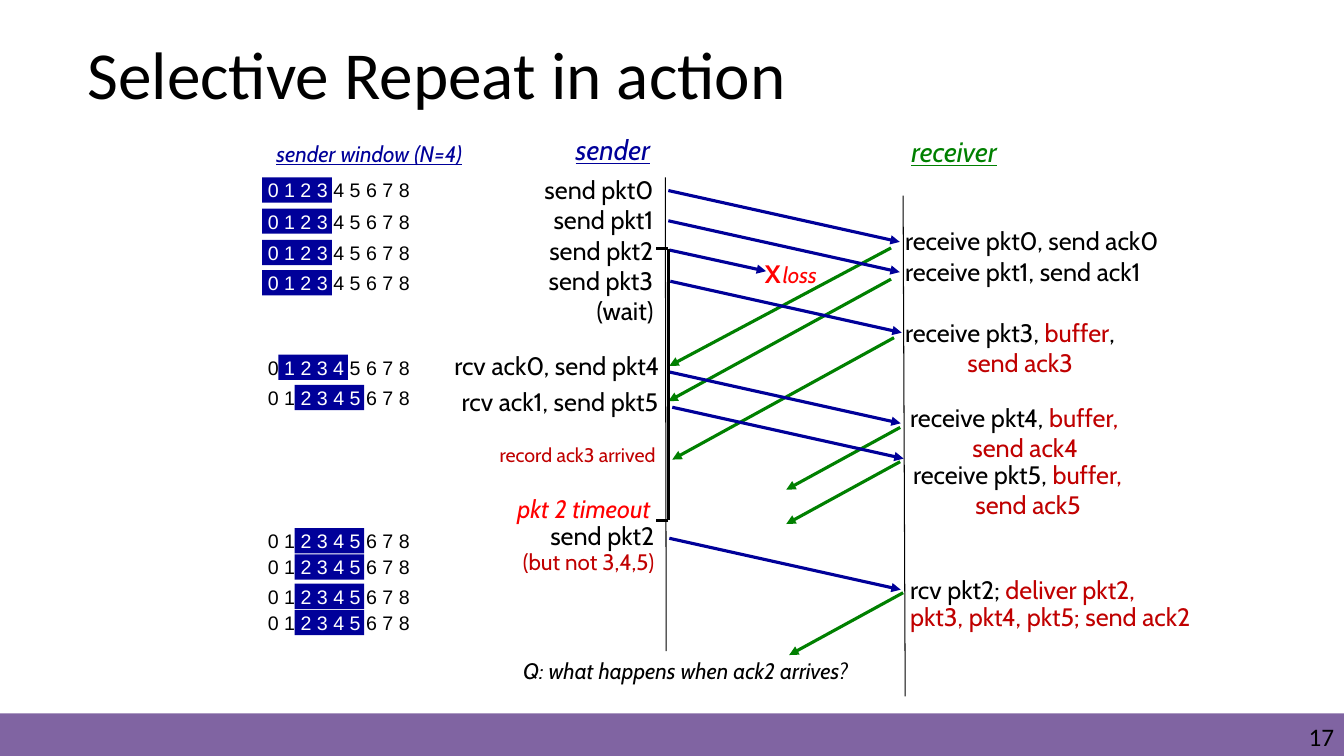
from lxml import etree
from pptx import Presentation
from pptx.dml.color import RGBColor
from pptx.enum.shapes import MSO_CONNECTOR, MSO_SHAPE
from pptx.enum.text import PP_ALIGN
from pptx.oxml.ns import qn
from pptx.util import Pt

LEFT, CENTER, RIGHT = PP_ALIGN.LEFT, PP_ALIGN.CENTER, PP_ALIGN.RIGHT
STRAIGHT, RECTANGLE = MSO_CONNECTOR.STRAIGHT, MSO_SHAPE.RECTANGLE

BLACK, WHITE, PURPLE = "000000", "FFFFFF", "8064A2"
BLUE, GREEN, RED, DARK_RED = "000099", "008000", "FF0000", "C00000"

# Each label: (left, top, width, height), alignment, paragraphs, style.
# A paragraph is a list of (text, colour) spans.
LABELS = [
    ((62.5, 23, 874, 70.5), LEFT, [[("Selective Repeat in action", BLACK)]],
     dict(size=48, face="Calibri", inset=0)),
    ((732, 515, 221, 21.6), RIGHT, [[("17", BLACK)]],
     dict(face="Calibri", inset=0)),
    ((179, 96.5, 169.5, 26.5), CENTER, [[("sender window (N=4)", BLUE)]],
     dict(size=16, italic=True, underline=True)),
    ((401, 91.4, 73.5, 31), CENTER, [[("sender", BLUE)]],
     dict(size=20, italic=True, underline=True)),
    ((639.4, 92.9, 84.2, 31), CENTER, [[("receiver", GREEN)]],
     dict(size=20, italic=True, underline=True)),
    ((365, 121, 108.8, 115.2), RIGHT,
     [[(line, BLACK)] for line in
      ("send pkt0", "send pkt1", "send pkt2", "send pkt3", "(wait)")], {}),
    ((306.7, 247, 171.4, 28.8), RIGHT, [[("rcv ack0, send pkt4", BLACK)]], {}),
    ((303.8, 272.2, 173.5, 28.8), RIGHT, [[("rcv ack1, send pkt5", BLACK)]], {}),
    ((345.6, 312.5, 134, 23.8), CENTER, [[("record ack3 arrived", DARK_RED)]],
     dict(size=14)),
    ((350.6, 354.2, 121, 23.8), RIGHT, [[("pkt 2 timeout", RED)]],
     dict(italic=True, spacing=0.75)),
    ((354.2, 370.8, 120.3, 24), RIGHT, [[("send pkt2", BLACK)]],
     dict(spacing=0.9)),
    ((354.2, 390, 120.3, 24), RIGHT, [[("(but not 3,4,5)", DARK_RED)]],
     dict(size=16, spacing=0.9)),
    ((535.9, 180.7, 32, 28.8), CENTER, [[("X", RED)]], dict(bold=True)),
    ((546.3, 182.9, 50, 26.6), CENTER, [[("loss", RED)]],
     dict(size=16, italic=True)),
    ((639.4, 157.7, 202.3, 50), LEFT,
     [[("receive pkt0, send ack0", BLACK)], [("receive pkt1, send ack1", BLACK)]],
     {}),
    ((639.4, 222.8, 202.3, 50), LEFT,
     [[("receive pkt3, ", BLACK), ("buffer", DARK_RED), (",", BLACK)],
      [("send ack3", DARK_RED)]], dict(indent=44.5)),
    ((643, 283.7, 181.4, 50.4), LEFT,
     [[("receive pkt4, ", BLACK), ("buffer,", DARK_RED)],
      [("send ack4", DARK_RED)]], dict(indent=44.5)),
    ((645.1, 324.7, 181.4, 50.4), LEFT,
     [[("receive pkt5, ", BLACK), ("buffer,", DARK_RED)],
      [("send ack5", DARK_RED)]], dict(indent=44.5)),
    ((643, 409, 233.3, 46), LEFT,
     [[("rcv pkt2; ", BLACK), ("deliver pkt2,", DARK_RED)],
      [("pkt3, pkt4, pkt5; send ack2", DARK_RED)]], dict(spacing=0.9)),
    ((352, 465.8, 275.8, 26.6), CENTER,
     [[("Q: what happens when ack2 arrives?", BLACK)]],
     dict(size=16, italic=True)),
]

# Sender window rows: top of the highlight, first sequence number in the window
WINDOWS = [(126.7, 0), (149, 0), (171.4, 0), (193, 0), (253.4, 1), (275, 2),
           (377.3, 2), (396, 2), (416.9, 2), (435.6, 2)]
WINDOW_SIZE, LAST_NUMBER = 4, 8
WINDOW_LEFT, DIGIT_PITCH = 187.3, 11.6

PACKET_STEP = (165.3, 36.7)
PACKET_STARTS = [(477.4, 136.1), (477.4, 157.7), (478.8, 200.9),
                 (478.1, 265.7), (480.2, 290.9), (478.1, 384.5)]
LOST_PACKET = ((478.1, 178.6), (547.2, 193.7))
ACKS = [((636.5, 177.1), (478.1, 261.4)), ((636.5, 199.4), (477.4, 286.6)),
        ((638.6, 241.2), (480.2, 328.3))]
SHORT_ACK_STEP = (-81.4, 44.5)
SHORT_ACK_STARTS = [(643, 305.3), (643, 329.8), (645.1, 423.4)]
TIMELINES = [((475.2, 126.7), (475.9, 465.1)), ((645.1, 139.7), (646.6, 497.5))]
TIMER_X, TIMER_TICK_X, TIMER_TOP, TIMER_BOTTOM = 477.4, 468.7, 177.8, 371.5


def paint(color_format, color):
    color_format.rgb = RGBColor.from_string(color)


def add_bar(page, left, top, width, height, color):
    bar = page.shapes.add_shape(RECTANGLE, Pt(left), Pt(top), Pt(width), Pt(height))
    bar.shadow.inherit = False
    bar.fill.solid()
    paint(bar.fill.fore_color, color)
    bar.line.fill.background()


def add_label(page, bounds, align, paragraphs, size=18, face="Cabin", bold=False,
              italic=False, underline=False, spacing=None, indent=0, inset=None):
    """Add a text box; indent moves every paragraph after the first."""
    box = page.shapes.add_textbox(*(Pt(length) for length in bounds))
    frame = box.text_frame
    frame.word_wrap = True
    if inset is not None:
        frame.margin_left = frame.margin_right = Pt(inset)
        frame.margin_top = frame.margin_bottom = Pt(inset)
    for index, spans in enumerate(paragraphs):
        para = frame.add_paragraph() if index else frame.paragraphs[0]
        para.alignment = align
        if spacing:
            para.line_spacing = spacing
        if index and indent:
            para._p.get_or_add_pPr().set("marL", str(int(Pt(indent))))
        font = para.font
        font.name, font.size = face, Pt(size)
        font.bold, font.italic, font.underline = bold, italic, underline
        for text, color in spans:
            span = para.add_run()
            span.text = text
            paint(span.font.color, color)


def add_window(page, top, first):
    """Add one row of sequence numbers with its window highlighted."""
    add_bar(page, WINDOW_LEFT + first * DIGIT_PITCH, top, 49.7, 18, BLUE)
    spans = []
    for number in range(LAST_NUMBER + 1):
        inside = first <= number < first + WINDOW_SIZE
        color = WHITE if inside else BLACK
        text = f" {number}" if number else "0"
        if spans and spans[-1][1] == color:
            spans[-1] = (spans[-1][0] + text, color)
        else:
            spans.append((text, color))
    add_label(page, (177.5, top - 2.8, 129, 23.8), CENTER, [spans],
              size=14, face="Arial")


def add_line(page, start, end, color, width=2.25, arrow=False):
    line = page.shapes.add_connector(
        STRAIGHT, *(Pt(length) for length in (*start, *end)))
    paint(line.line.color, color)
    line.line.width = Pt(width)
    if arrow:
        etree.SubElement(line.line._get_or_add_ln(), qn("a:tailEnd"), type="triangle")
    etree.SubElement(line._element.spPr, qn("a:effectLst"))


def shifted(point, step):
    return point[0] + step[0], point[1] + step[1]


def main():
    deck = Presentation()
    deck.slide_width, deck.slide_height = Pt(960), Pt(540)
    page = deck.slides.add_slide(deck.slide_layouts[6])

    add_bar(page, 0, 509.5, 960, 30.5, PURPLE)
    for start, end in TIMELINES:
        add_line(page, start, end, BLACK, width=0.75)
    for start, end in ACKS:
        add_line(page, start, end, GREEN, arrow=True)
    for start in SHORT_ACK_STARTS:
        add_line(page, start, shifted(start, SHORT_ACK_STEP), GREEN, arrow=True)
    for start in PACKET_STARTS:
        add_line(page, start, shifted(start, PACKET_STEP), BLUE, arrow=True)
    add_line(page, *LOST_PACKET, BLUE, arrow=True)

    add_line(page, (TIMER_X, TIMER_TOP), (TIMER_X, TIMER_BOTTOM), BLACK)
    for y in (TIMER_TOP, TIMER_BOTTOM):
        add_line(page, (TIMER_X, y), (TIMER_TICK_X, y), BLACK)

    for top, first in WINDOWS:
        add_window(page, top, first)
    for bounds, align, paragraphs, style in LABELS:
        add_label(page, bounds, align, paragraphs, **style)

    deck.save("out.pptx")


if __name__ == "__main__":
    main()
